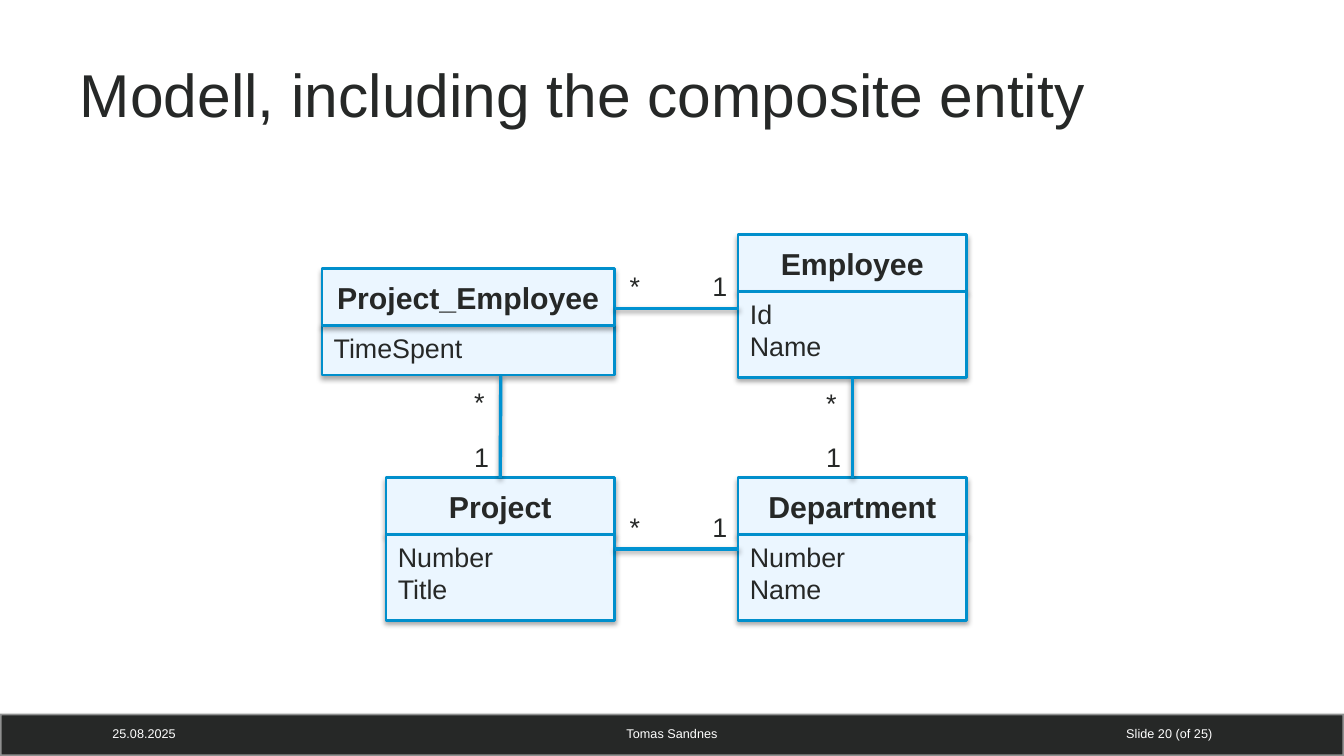
import pptx
import pptx.util
import pptx.dml.color
import pptx.enum.shapes
import pptx.enum.text
import pptx.oxml
import pptx.oxml.ns
from dataclasses import dataclass
from lxml import etree

Inches = pptx.util.Inches
Pt = pptx.util.Pt
ALIGN = pptx.enum.text.PP_ALIGN
ANCHOR = pptx.enum.text.MSO_ANCHOR
AUTO_SIZE = pptx.enum.text.MSO_AUTO_SIZE
qn = pptx.oxml.ns.qn


@dataclass(frozen=True)
class Theme:
    font: str = "Arial"
    ink: str = "262827"
    paper: str = "FFFFFF"
    bar_edge: str = "F9F9F9"
    entity_fill: str = "EBF6FF"
    entity_line: str = "008FCC"
    relation_line: str = "0092D1"
    title_size: float = 36
    entity_size: float = 18
    attribute_size: float = 16
    footer_size: float = 7.5


def rgb(color):
    return pptx.dml.color.RGBColor.from_string(color)


def add_alpha(color_element, percent):
    etree.SubElement(color_element, qn("a:alpha")).set("val", str(percent * 1000))


def add_drop_shadow(properties, distance, percent):
    """Give the shape properties a soft black shadow straight below."""
    effects = properties.find(qn("a:effectLst"))
    if effects is None:
        effects = etree.SubElement(properties, qn("a:effectLst"))
    shadow = etree.SubElement(effects, qn("a:outerShdw"))
    settings = {"blurRad": Pt(3.1), "dist": Pt(distance), "dir": 90 * 60000, "rotWithShape": 0}
    for key, value in settings.items():
        shadow.set(key, str(int(value)))
    color = etree.SubElement(shadow, qn("a:srgbClr"))
    color.set("val", "000000")
    add_alpha(color, percent)


class ModelSlide:
    HEADER_HEIGHT = 0.47
    LABEL_WIDTH, LABEL_HEIGHT = 0.31, 0.37

    def __init__(self, slide, theme):
        self.slide = slide
        self.theme = theme

    def add_lines(self, frame, lines, size, color=None, bold=False,
                  align=ALIGN.LEFT, anchor=ANCHOR.TOP):
        frame.word_wrap = True
        frame.vertical_anchor = anchor
        for index, line in enumerate(lines):
            paragraph = frame.add_paragraph() if index else frame.paragraphs[0]
            paragraph.alignment = align
            run = paragraph.add_run()
            run.text = line
            run.font.name = self.theme.font
            run.font.size = Pt(size)
            run.font.bold = bold
            run.font.color.rgb = rgb(color or self.theme.ink)

    def title(self, text, *place):
        heading = self.slide.shapes.title
        heading.left, heading.top, heading.width, heading.height = map(Inches, place)
        heading.text_frame.auto_size = AUTO_SIZE.NONE
        self.add_lines(heading.text_frame, [text], self.theme.title_size, anchor=ANCHOR.MIDDLE)

    def rectangle(self, place, fill, line, line_width):
        box = self.slide.shapes.add_shape(
            pptx.enum.shapes.MSO_SHAPE.RECTANGLE, *map(Inches, place))
        box.shadow.inherit = False
        box.fill.solid()
        box.fill.fore_color.rgb = rgb(fill)
        box.line.color.rgb = rgb(line)
        box.line.width = Pt(line_width)
        return box

    def text(self, text, place, size, **style):
        box = self.slide.shapes.add_textbox(*map(Inches, place))
        self.add_lines(box.text_frame, [text], size, **style)
        return box

    def footer_bar(self, *place):
        bar = self.rectangle(place, self.theme.ink, self.theme.bar_edge, 2)
        edge = bar._element.spPr.find(qn("a:ln"))
        add_alpha(edge.find(".//" + qn("a:srgbClr")), 50)

    def footer_text(self, text, left, width, align):
        self.text(text, (left, 5.9, width, 0.33), self.theme.footer_size,
                  color=self.theme.paper, align=align, anchor=ANCHOR.MIDDLE)

    def compartment(self, *place):
        box = self.rectangle(place, self.theme.entity_fill, self.theme.entity_line, 1.5)
        add_drop_shadow(box._element.spPr, 1.8, 35)
        return box

    def entity(self, name, attributes, left, top, width, body_height, header_on_top=False):
        """Draw an entity and return its header and body."""
        parts = {}
        for part in ("body", "header") if header_on_top else ("header", "body"):
            if part == "header":
                box = self.compartment(left, top, width, self.HEADER_HEIGHT)
                self.add_lines(box.text_frame, [name], self.theme.entity_size, bold=True,
                               align=ALIGN.CENTER, anchor=ANCHOR.MIDDLE)
            else:
                box = self.compartment(left, top + self.HEADER_HEIGHT, width, body_height)
                self.add_lines(box.text_frame, attributes, self.theme.attribute_size)
            parts[part] = box
        return parts["header"], parts["body"]

    def multiplicity(self, text, left, top, align=ALIGN.LEFT):
        label = self.text(text, (left, top, self.LABEL_WIDTH, self.LABEL_HEIGHT),
                          self.theme.attribute_size, align=align)
        label.text_frame.auto_size = AUTO_SIZE.SHAPE_TO_FIT_TEXT

    def relation(self, many, one, many_box=None, one_box=None):
        """Join the many end to the one end, with a multiplicity at each."""
        line = self.slide.shapes.add_connector(
            pptx.enum.shapes.MSO_CONNECTOR.STRAIGHT, *map(Inches, many + one))
        if many_box is not None:
            line.begin_connect(many_box, 2)
        if one_box is not None:
            line.end_connect(one_box, 0)
        line.line.color.rgb = rgb(self.theme.relation_line)
        line.line.width = Pt(2)
        add_drop_shadow(line._element.spPr, 1.6, 38)
        if many[0] == one[0]:
            left = many[0] - 0.32
            self.multiplicity("*", left, many[1] + 0.03)
            self.multiplicity("1", left, one[1] - 0.36)
        else:
            top = many[1] - self.LABEL_HEIGHT
            self.multiplicity("*", many[0], top, ALIGN.RIGHT)
            self.multiplicity("1", one[0] - 0.32, top)


def main():
    deck = pptx.Presentation()
    deck.slide_width, deck.slide_height = Inches(11.11), Inches(6.25)
    theme = Theme()
    model = ModelSlide(deck.slides.add_slide(deck.slide_layouts[5]), theme)
    background = model.slide.background.fill
    background.solid()
    background.fore_color.rgb = rgb(theme.paper)

    # Title and footer
    model.title("Modell, including the composite entity", 0.56, 0.25, 10, 1.04)
    model.footer_bar(0, 5.9, 11.11, 0.35)
    model.footer_text("25.08.2025", 0.83, 2.59, ALIGN.LEFT)
    model.footer_text("Tomas Sandnes", 3.89, 3.33, ALIGN.CENTER)
    model.footer_text("Slide 20 (of 25)", 8.23, 1.89, ALIGN.RIGHT)

    # Entities
    left, right, lower, width, body = 3.19, 6.1, 3.95, 1.89, 0.71
    _, employee_body = model.entity("Employee", ["Id", "Name"], right, 1.94, width, body)
    department_header, _ = model.entity(
        "Department", ["Number", "Name"], right, lower, width, body)
    project_header, _ = model.entity("Project", ["Number", "Title"], left, lower, width, body)
    model.entity("Project_Employee", ["TimeSpent"], 2.66, 2.22, 2.42, 0.41, header_on_top=True)

    # Relations, each from its many end to its one end
    model.relation((7.05, 3.12), (7.05, lower), employee_body, department_header)
    model.relation((4.14, 3.11), (4.14, lower), one_box=project_header)
    for height in (2.55, 4.54):
        model.relation((5.08, height), (6.11, height))

    deck.save("out.pptx")


if __name__ == "__main__":
    main()
